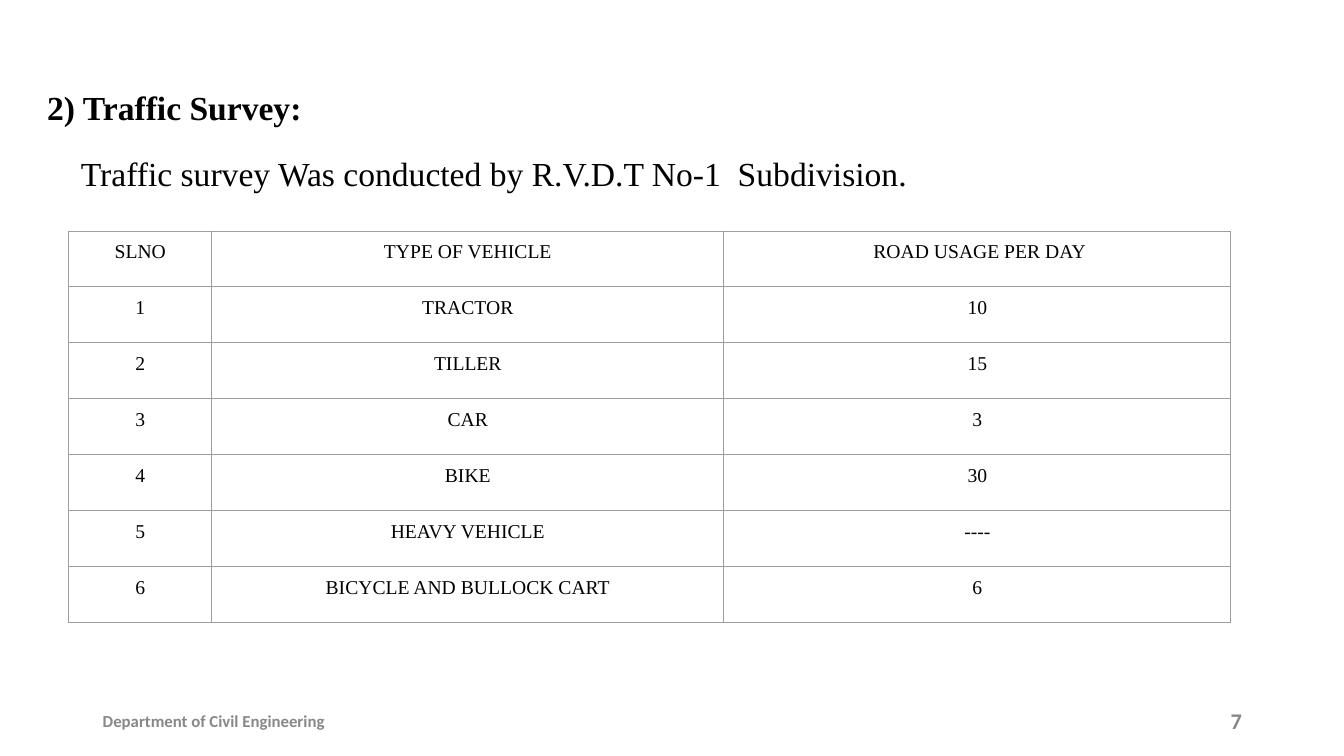
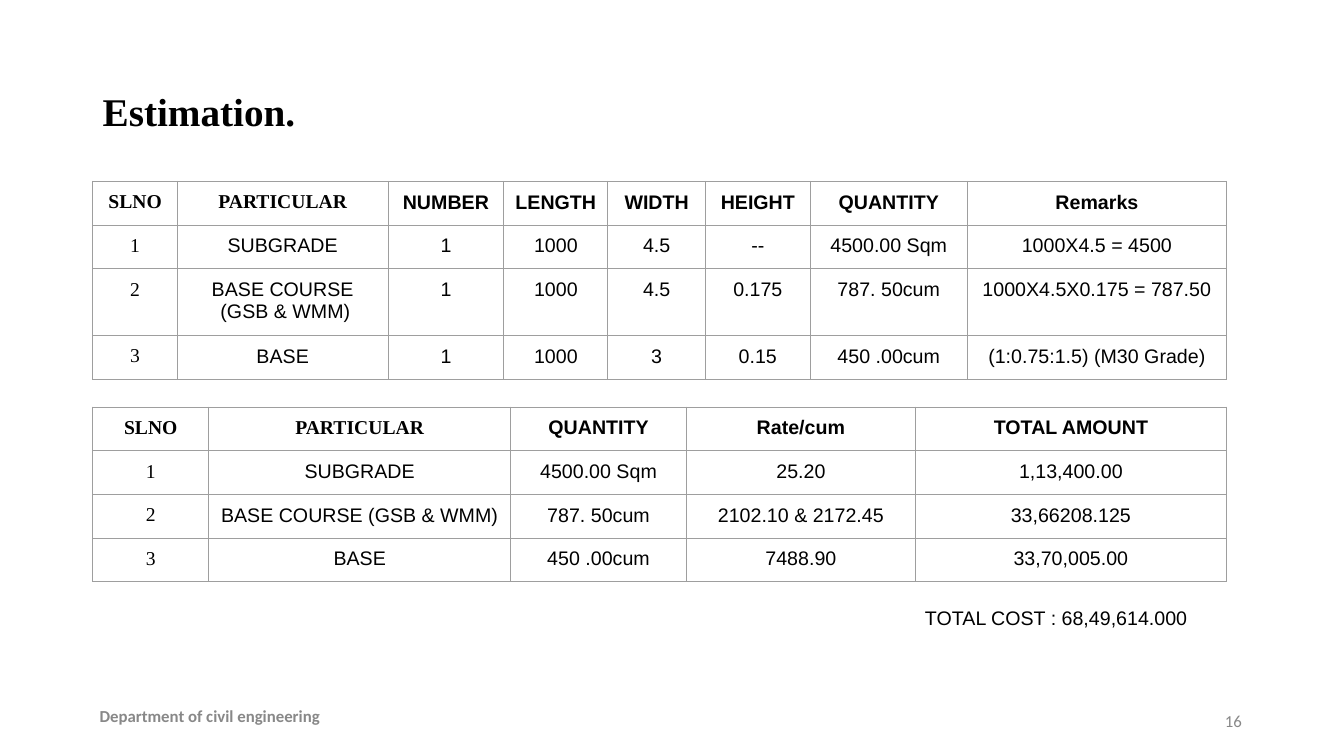
from lxml import etree
from pptx import Presentation
from pptx.dml.color import RGBColor
from pptx.enum.text import MSO_ANCHOR, PP_ALIGN
from pptx.oxml.ns import qn
from pptx.util import Cm, Pt

LEFT, CENTER, RIGHT, JUSTIFY = PP_ALIGN.LEFT, PP_ALIGN.CENTER, PP_ALIGN.RIGHT, PP_ALIGN.JUSTIFY
TOP, MIDDLE = MSO_ANCHOR.TOP, MSO_ANCHOR.MIDDLE

COLORS = {"text": "000000", "footer": "888888", "border": "9E9E9E"}
SERIF, SANS, FOOTER_FONT = "Times New Roman", "Arial", "Calibri"
BORDER_WIDTH = Pt(0.75)
CELL_INSET = Cm(0.25)


def write_paragraph(paragraph, text, font=SERIF, size=14, bold=False, color="text",
                    align=LEFT, line=None, before=None, after=None, indent=None):
    """Fill one paragraph with formatted text."""
    paragraph.text = text
    paragraph.alignment = align
    if line:
        paragraph.line_spacing = line
    if before:
        paragraph.space_before = Pt(before)
    if after:
        paragraph.space_after = Pt(after)
    if indent:
        paragraph._p.get_or_add_pPr().set("marL", str(Cm(indent)))
    run_font = paragraph.runs[0].font
    run_font.name, run_font.size, run_font.bold = font, Pt(size), bold
    run_font.color.rgb = RGBColor.from_string(COLORS[color])


def add_text(slide, box, *paragraphs, anchor=TOP, inset_y=0.13):
    """Place a text box; each paragraph is (text, format)."""
    frame = slide.shapes.add_textbox(*map(Cm, box)).text_frame
    frame.word_wrap = True
    frame.vertical_anchor = anchor
    frame.margin_left = frame.margin_right = Cm(0.25)
    frame.margin_top = frame.margin_bottom = Cm(inset_y)
    for index, (text, style) in enumerate(paragraphs):
        paragraph = frame.add_paragraph() if index else frame.paragraphs[0]
        write_paragraph(paragraph, text, **style)


def add_footer(slide, department, department_box, number, number_style):
    """Department name on the left, page number on the right."""
    base = {"font": FOOTER_FONT, "size": 12, "color": "footer"}
    add_text(slide, department_box, (department, {**base, "bold": True}), anchor=MIDDLE)
    add_text(slide, (23.93, 17.65, 7.62, 1.02),
             (number, {**base, "align": RIGHT, **number_style}), anchor=MIDDLE)


def format_cell(cell):
    """Thin border on all sides, no fill, even insets."""
    properties = cell._tc.get_or_add_tcPr()
    for side in ("lnL", "lnR", "lnT", "lnB"):
        line = etree.SubElement(properties, qn(f"a:{side}"), w=str(BORDER_WIDTH))
        fill = etree.SubElement(line, qn("a:solidFill"))
        etree.SubElement(fill, qn("a:srgbClr"), val=COLORS["border"])
    cell.fill.background()
    cell.margin_left = cell.margin_right = CELL_INSET
    cell.margin_top = cell.margin_bottom = CELL_INSET


def add_grid(slide, left, top, widths, heights, rows, style_for):
    """Place a table; style_for(row, column) gives the text format."""
    box = (left, top, sum(widths), sum(heights))
    table = slide.shapes.add_table(len(rows), len(widths), *map(Cm, box)).table
    table.first_row = table.horz_banding = False
    for column, width in zip(table.columns, widths):
        column.width = Cm(width)
    for row, height in zip(table.rows, heights):
        row.height = Cm(height)
    for r, values in enumerate(rows):
        for c, value in enumerate(values):
            cell = table.cell(r, c)
            format_cell(cell)
            for index, text in enumerate(value.split("\n")):
                frame = cell.text_frame
                paragraph = frame.add_paragraph() if index else frame.paragraphs[0]
                write_paragraph(paragraph, text, align=CENTER, **style_for(r, c))


def survey_style(row, column):
    return {"font": SERIF}


def estimate_style(row, column):
    """Bold header; serif for the serial numbers and the first two headings."""
    serif = column == 0 or (row == 0 and column == 1)
    return {"font": SERIF if serif else SANS, "bold": row == 0}


def build_survey(slide):
    body = {"size": 24, "align": JUSTIFY, "line": 1.5}
    add_text(slide, (0.94, 1.55, 32.13, 3.9),
             ("2) Traffic Survey:", {**body, "bold": True}),
             ("Traffic survey Was conducted by R.V.D.T No-1  Subdivision.",
              {**body, "before": 4, "after": 8, "indent": 0.85}))
    vehicles = [
        ("SLNO", "TYPE OF VEHICLE", " ROAD USAGE PER DAY"),
        ("1", "TRACTOR", "10"),
        ("2", "TILLER", "15"),
        ("3", "CAR", "3"),
        ("4", "BIKE", "30"),
        ("5", "HEAVY VEHICLE", "----"),
        ("6", "BICYCLE AND BULLOCK CART", "6"),
    ]
    add_grid(slide, 1.73, 5.82, [3.61, 12.9, 12.78], [1.41] * len(vehicles),
             vehicles, survey_style)
    add_footer(slide, "Department of Civil Engineering", (2.34, 17.65, 20, 1.02),
               "7", {"size": 16, "bold": True})


def build_estimate(slide):
    # Title
    add_text(slide, (2.34, 1.02, 29.21, 3.68),
             ("Estimation.", {"size": 28, "bold": True, "line": 0.9}), anchor=MIDDLE)
    # Quantities
    quantities = [
        ("SLNO", "PARTICULAR", "NUMBER", "LENGTH", "WIDTH", "HEIGHT", "QUANTITY", "Remarks"),
        ("1", "SUBGRADE", "1", "1000", "4.5", "--", "4500.00 Sqm", "1000X4.5 = 4500"),
        ("2", "BASE COURSE\n (GSB & WMM)", "1", "1000", "4.5", "0.175", "787. 50cum",
         "1000X4.5X0.175 = 787.50"),
        ("3", "BASE", "1", "1000", "3", "0.15", "450 .00cum", "(1:0.75:1.5) (M30 Grade)"),
    ]
    add_grid(slide, 2.34, 4.57, [2.13, 5.31, 2.92, 2.62, 2.46, 2.64, 3.96, 6.53],
             [1.1, 1.1, 1.68, 1.1], quantities, estimate_style)
    # Costs
    costs = [
        ("SLNO", "PARTICULAR", "QUANTITY", "Rate/cum", "TOTAL AMOUNT"),
        ("1", "SUBGRADE", "4500.00 Sqm", "25.20", "1,13,400.00"),
        ("2", "BASE COURSE (GSB & WMM)", "787. 50cum", "2102.10 & 2172.45",
         "33,66208.125"),
        ("3", "BASE", "450 .00cum", "7488.90", "33,70,005.00"),
    ]
    add_grid(slide, 2.34, 10.26, [2.92, 7.61, 4.43, 5.77, 7.84], [1.1] * len(costs),
             costs, estimate_style)
    add_text(slide, (23.06, 15.01, 7.82, 1.12),
             ("TOTAL COST : 68,49,614.000", {"font": SANS}), inset_y=0.25)
    add_footer(slide, "Department of civil engineering", (2.26, 17.53, 20, 1.02), "16", {})


def main():
    deck = Presentation()
    deck.slide_width, deck.slide_height = Cm(33.87), Cm(19.05)
    blank = deck.slide_layouts[6]
    for build in (build_survey, build_estimate):
        build(deck.slides.add_slide(blank))
    deck.save("out.pptx")


if __name__ == "__main__":
    main()
